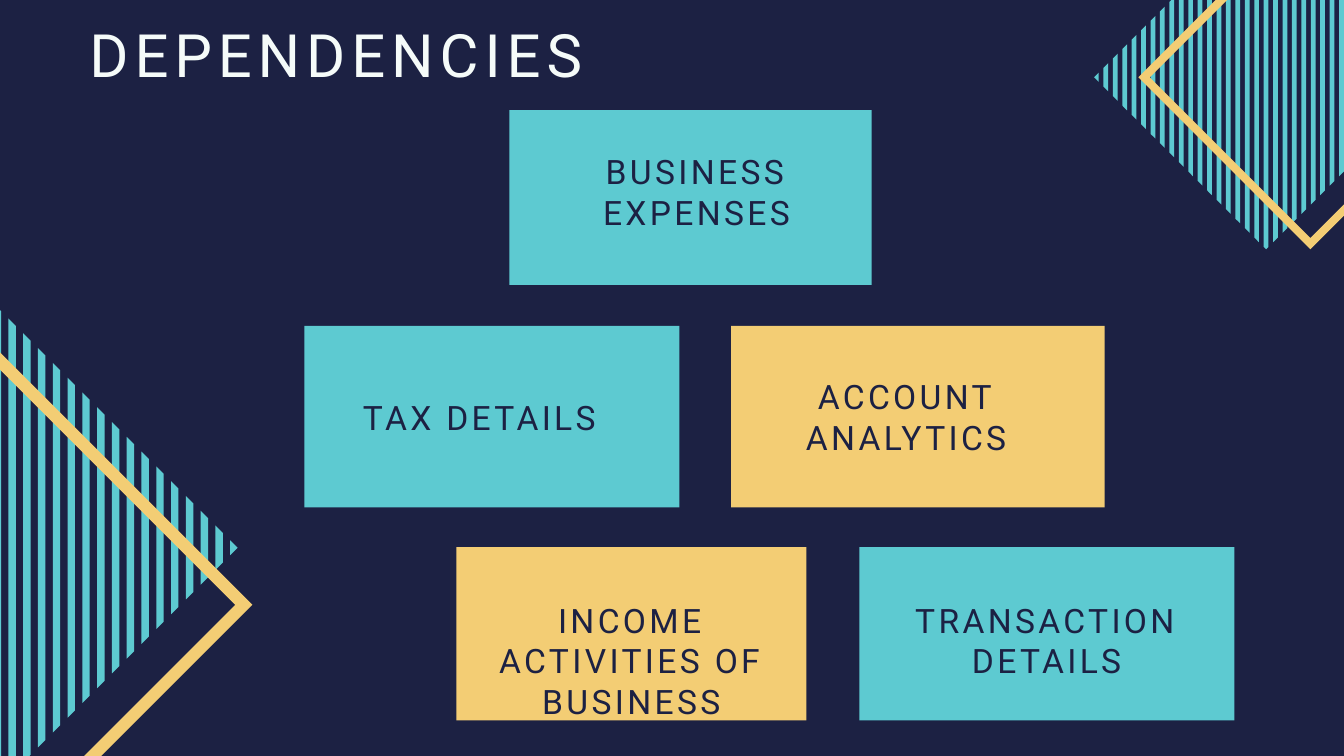
from math import sqrt

from pptx import Presentation
from pptx.dml.color import RGBColor
from pptx.enum.shapes import MSO_SHAPE as SHAPE
from pptx.enum.text import MSO_ANCHOR as ANCHOR, MSO_AUTO_SIZE as AUTO, PP_ALIGN as ALIGN
from pptx.util import Pt

PX = 9144
COLORS = {"navy": "1C2143", "teal": "5DCAD1", "gold": "F3CD74", "white": "F5FBF9"}
FRAME_FORMAT = {"margin_left": 0, "margin_right": 0, "margin_top": 0, "margin_bottom": 0,
                "word_wrap": True, "vertical_anchor": ANCHOR.TOP,
                "auto_size": AUTO.SHAPE_TO_FIT_TEXT}
LABEL_WIDTH, LABEL_LINE = 521, 60
HALF_STRIPES = 18

CARDS = [
    ("BUSINESS EXPENSES", "teal", (758, 164, 539, 260), (18, 61), 2),
    ("TAX DETAILS", "teal", (453, 485, 558, 270), (0, 105), 1),
    ("ACCOUNT ANALYTICS", "gold", (1088, 485, 556, 270), (0, 75), 2),
    ("INCOME ACTIVITIES OF BUSINESS", "gold", (679, 814, 521, 258), (0, 79), 2),
    ("TRANSACTION DETAILS", "teal", (1279, 814, 558, 258), (18, 79), 2),
]
ORNAMENTS = [
    ((-332, 531, 568), (22, 85), 18),
    ((1703, -66, 362), (66, 0), 12),
]


def emu(*lengths):
    """Turn px lengths into EMU."""
    return [round(v * PX) for v in lengths]


def rgb(name):
    """Return a palette colour."""
    return RGBColor.from_string(COLORS[name])


def paint(sp, color):
    """Give a shape a flat fill with no line or shadow."""
    sp.shadow.inherit = False
    sp.fill.solid()
    sp.fill.fore_color.rgb = rgb(color)
    sp.line.fill.background()


def write(sp, text, size, color):
    """Write one centred, letter-spaced paragraph into a shape."""
    tf = sp.text_frame
    for name, value in FRAME_FORMAT.items():
        setattr(tf, name, value)
    p = tf.paragraphs[0]
    for name, value in {"alignment": ALIGN.CENTER, "line_spacing": Pt(size * 1.2),
                        "space_before": Pt(0)}.items():
        setattr(p, name, value)
    r = p.add_run()
    r.text = text
    for name, value in {"name": "Roboto", "size": Pt(size), "bold": False}.items():
        setattr(r.font, name, value)
    r.font.color.rgb = rgb(color)
    r.font._element.set("spc", str(size * 10))


def add_title(s, text, box):
    """Place the slide title in its placeholder."""
    sp = s.shapes.title
    sp.left, sp.top, sp.width, sp.height = emu(*box)
    write(sp, text, 64, "white")


def add_card(s, text, color, box, offset, lines):
    """Add a coloured card with a label offset from its corner."""
    x, y = box[:2]
    paint(s.shapes.add_shape(SHAPE.RECTANGLE, *emu(*box)), color)
    dx, dy = offset
    label = s.shapes.add_textbox(*emu(x + dx, y + dy, LABEL_WIDTH, lines * LABEL_LINE))
    write(label, text, 36, "navy")


def add_stripes(s, x, y, side):
    """Add a striped square, turned so that its stripes stand upright."""
    radius = side / sqrt(2)
    pitch = radius / (HALF_STRIPES + 0.25)

    def turned(px, py):
        return emu(side / 2 + (px - py) / sqrt(2), side / 2 + (px + py) / sqrt(2))

    builder = s.shapes.build_freeform(*emu(side / 2, side / 2))
    for k in range(-HALF_STRIPES, HALF_STRIPES + 1):
        xs = [(k + d) * pitch for d in (-0.25, 0, 0.25)]
        top = [turned(v, abs(v) - radius) for v in xs]
        bottom = [turned(v, radius - abs(v)) for v in reversed(xs)]
        builder.move_to(*top[0])
        builder.add_line_segments(top[1:] + bottom, close=True)
    sp = builder.convert_to_shape(*emu(x, y))
    sp.rotation = 315
    paint(sp, "teal")


def add_ornament(s, box, offset, thickness):
    """Add a striped diamond with a shifted gold frame over it."""
    x, y, side = box
    add_stripes(s, x, y, side)
    dx, dy = offset
    sp = s.shapes.add_shape(SHAPE.FRAME, *emu(x + dx, y + dy, side, side))
    sp.adjustments[0] = thickness / side
    sp.rotation = 315
    paint(sp, "gold")


def main():
    """Build the dependencies slide."""
    prs = Presentation()
    prs.slide_width, prs.slide_height = emu(2000, 1125)
    s = prs.slides.add_slide(prs.slide_layouts[5])
    s.background.fill.solid()
    s.background.fill.fore_color.rgb = rgb("navy")
    for ornament in ORNAMENTS:
        add_ornament(s, *ornament)
    for card in CARDS:
        add_card(s, *card)
    add_title(s, "DEPENDENCIES", (70, 27, 860, 110))
    prs.save("out.pptx")


if __name__ == "__main__":
    main()
